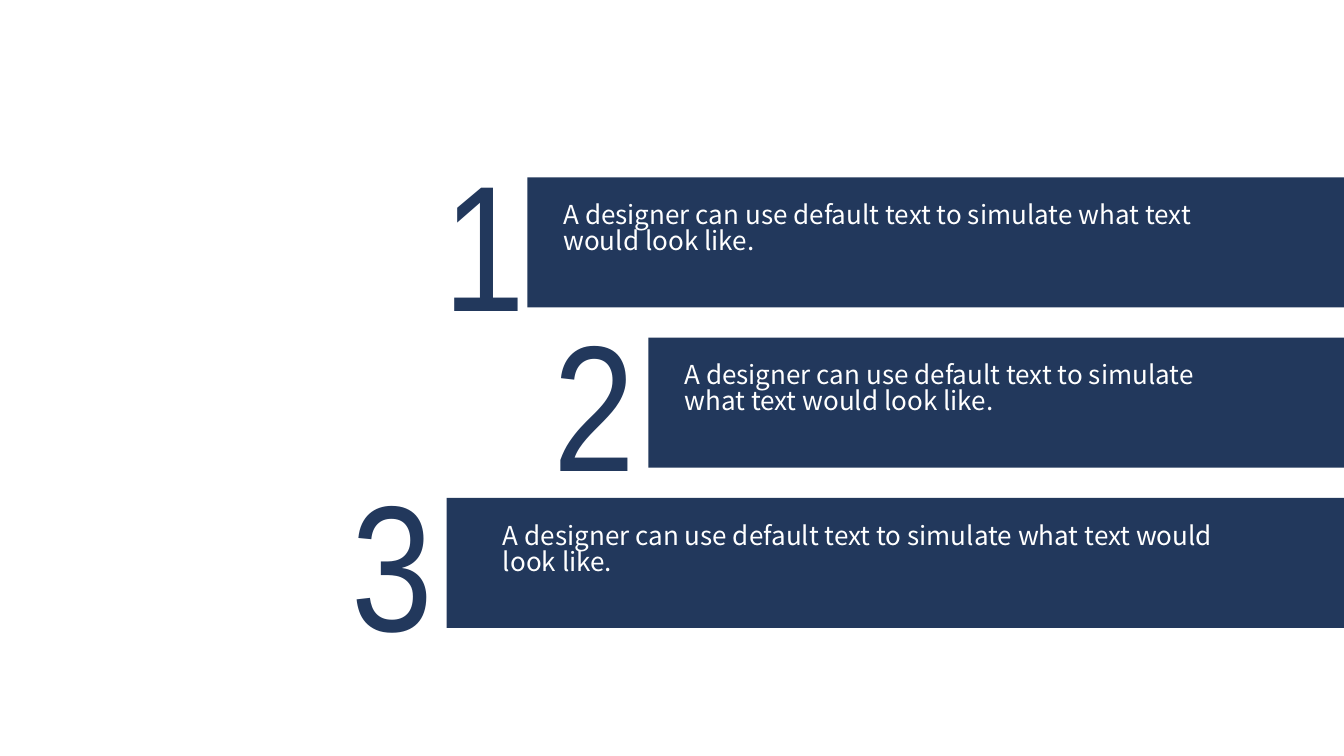
"""Build a slide with three numbered, staggered text bars."""
from pptx import Presentation
from pptx.dml.color import RGBColor
from pptx.enum.shapes import MSO_SHAPE
from pptx.enum.text import MSO_AUTO_SIZE
from pptx.util import Inches, Pt

NAVY = RGBColor(0x22, 0x38, 0x5C)
WHITE = RGBColor(0xFF, 0xFF, 0xFF)
RECT = MSO_SHAPE.RECTANGLE
GROW = MSO_AUTO_SIZE.SHAPE_TO_FIT_TEXT

MESSAGE = "A designer can use default text to simulate what text would look like."
BARS = [
    {"number": "1", "left": 5.23, "inset": 0.26, "num_left": 4.3, "num_width": 0.64},
    {"number": "2", "left": 6.43, "inset": 0.26, "num_left": 5.39, "num_width": 0.88},
    {"number": "3", "left": 4.43, "inset": 0.46, "num_left": 3.39, "num_width": 0.88},
]
MESSAGE_FONT = {"name": "Noto Sans CJK SC", "size": Pt(18.6)}
NUMBER_FONT = {"name": "Arial Narrow", "size": Pt(128)}

SLIDE_W, SLIDE_H = 13.33, 7.5
BAR_TOP, BAR_H, BAR_STEP = 1.76, 1.29, 1.59
TEXT_RIGHT = 12.59


def add_bar(slide, left, top):
    sp = slide.shapes.add_shape(
        RECT, Inches(left), Inches(top), Inches(SLIDE_W - left), Inches(BAR_H))
    sp.shadow.inherit = False
    sp.fill.solid()
    sp.fill.fore_color.rgb = NAVY
    sp.line.fill.background()


def add_text(slide, text, box, font, color, wrap, spacing=None):
    tf = slide.shapes.add_textbox(*map(Inches, box)).text_frame
    tf.word_wrap = wrap
    tf.auto_size = GROW
    p = tf.paragraphs[0]
    p.line_spacing = spacing
    r = p.add_run()
    r.text = text
    for name, value in font.items():
        setattr(r.font, name, value)
    r.font.color.rgb = color


def main():
    prs = Presentation()
    prs.slide_width, prs.slide_height = Inches(SLIDE_W), Inches(SLIDE_H)
    slide = prs.slides.add_slide(prs.slide_layouts[6])
    for i, bar in enumerate(BARS):
        top = BAR_TOP + i * BAR_STEP
        text_left = bar["left"] + bar["inset"]
        add_bar(slide, bar["left"], top)
        add_text(slide, MESSAGE, (text_left, top + 0.21, TEXT_RIGHT - text_left, 0.73),
                 MESSAGE_FONT, WHITE, True, 0.84)
        add_text(slide, bar["number"], (bar["num_left"], top - 0.5, bar["num_width"], 2.26),
                 NUMBER_FONT, NAVY, False)
    prs.save("out.pptx")


if __name__ == "__main__":
    main()
